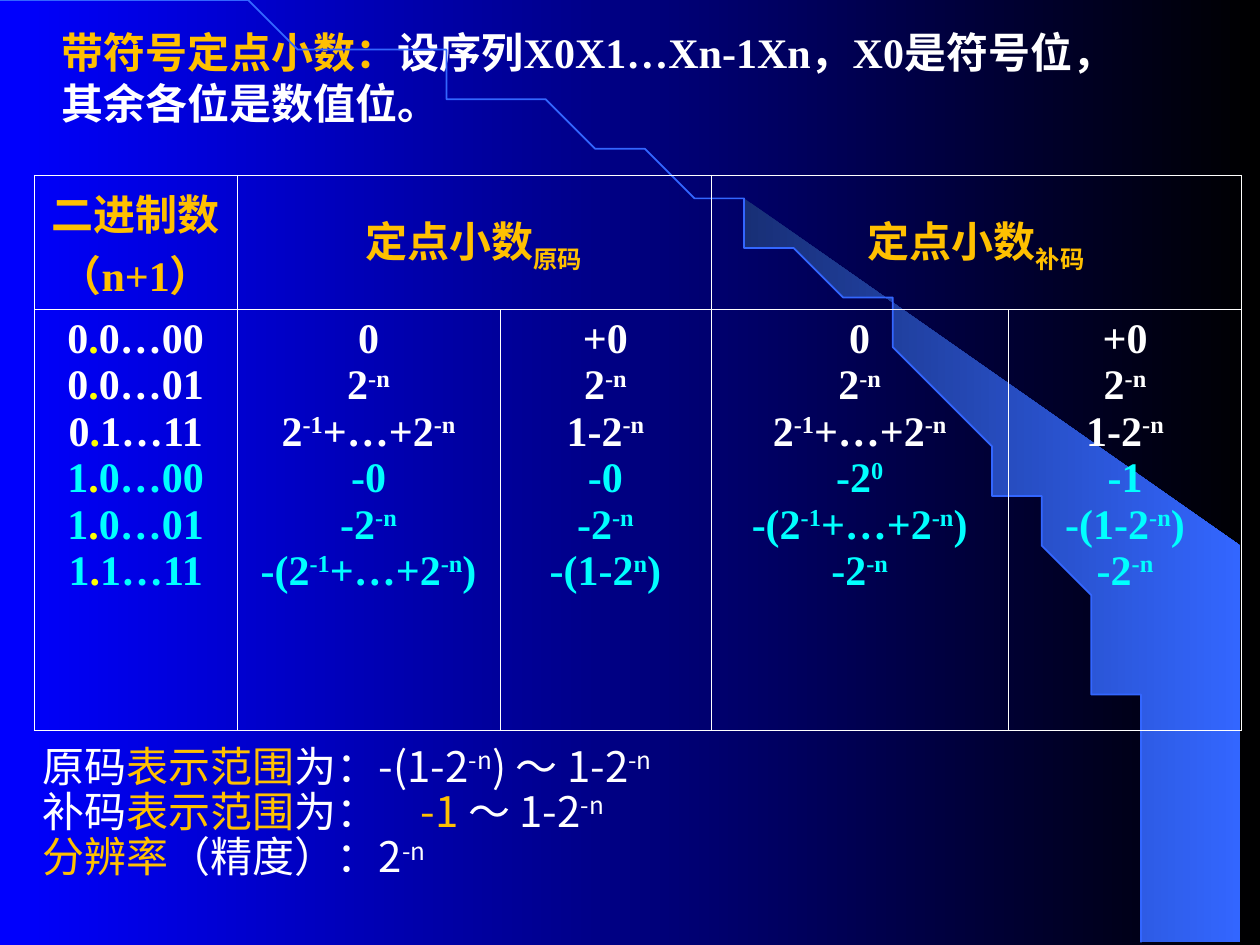
from dataclasses import dataclass

from lxml.etree import SubElement
from pptx import Presentation
from pptx.dml.color import RGBColor as RGB
from pptx.enum.text import MSO_ANCHOR as Anchor, MSO_AUTO_SIZE as AutoSize, PP_ALIGN as Align
from pptx.oxml import parse_xml
from pptx.oxml.ns import nsdecls, qn
from pptx.util import Cm, Pt


@dataclass(frozen=True)
class Theme:
    white: str = "FFFFFF"
    gold: str = "FFC000"
    yellow: str = "FFFF00"
    cyan: str = "00FFFF"
    blue: str = "3366FF"
    navy: str = "182F76"
    backdrop: tuple = ("0000FF", "000000")
    size: int = 24
    latin: str = "Times New Roman"
    cjk: str = "Noto Sans CJK SC"


theme = Theme()
# A part of a text that starts with one of these marks gets the colour or baseline
COLOUR_MARKS = {"*": theme.gold, "@": theme.yellow}
BASELINE_MARKS = {"^": "30000", "_": "-25000"}


def write(paragraph, text, colour=theme.white, font=theme.latin, bold=True,
          align=Align.LEFT, spacing=1.0, tab=None):
    """Fill a paragraph with the parts of text between bars, formatted by their marks."""
    props = paragraph._p.get_or_add_pPr()
    props.set("marL", "0")
    props.set("indent", "0")
    SubElement(props, qn("a:buNone"))
    if tab:
        tabs = SubElement(props, qn("a:tabLst"))
        SubElement(tabs, qn("a:tab"), pos=str(tab), algn="l")
    paragraph.alignment = align
    paragraph.line_spacing = spacing
    paragraph.space_before = Pt(0)
    for part in text.split("|"):
        mark = part[0]
        run = paragraph.add_run()
        run.text = part[1:] if mark in COLOUR_MARKS or mark in BASELINE_MARKS else part
        run.font.size = Pt(theme.size)
        run.font.bold = bold
        run.font.color.rgb = RGB.from_string(COLOUR_MARKS.get(mark, colour))
        run.font.name = font
        run_props = run._r.get_or_add_rPr()
        SubElement(run_props, qn("a:ea"), typeface=theme.cjk)
        if mark in BASELINE_MARKS:
            run_props.set("baseline", BASELINE_MARKS[mark])


def shade(fill, colours):
    """Apply a left-to-right gradient of two colours."""
    fill.gradient()
    fill.gradient_angle = 0
    for stop, colour in zip(fill.gradient_stops, colours):
        stop.color.rgb = RGB.from_string(colour)


deck = Presentation()
deck.slide_width, deck.slide_height = Cm(25.4), Cm(19.05)
slide = deck.slides.add_slide(deck.slide_layouts[1])
shade(slide.background.fill, theme.backdrop)
shapes = slide.shapes

# Arc: a Bezier curve from the top left corner; the wedge follows its last part
CONTROLS = [(0, 0), (12.9, 0), (23.37, 8.51), (23.37, 19.02)]
STEPS, WEDGE_START = 50, 22
curve = []
for step in range(STEPS + 1):
    t = step / STEPS
    weights = ((1 - t) ** 3, 3 * t * (1 - t) ** 2, 3 * t * t * (1 - t), t ** 3)
    curve.append(tuple(sum(w * point[axis] for w, point in zip(weights, CONTROLS))
                       for axis in (0, 1)))
wedge_points = curve[WEDGE_START:] + [(25.37, 19.02), (25.37, 10.74)]
for points, closed in ((wedge_points, True), (curve, False)):
    builder = shapes.build_freeform(*points[0], scale=Cm(1))
    builder.add_line_segments(points[1:], close=closed)
    outline = builder.convert_to_shape()
    outline.shadow.inherit = False
    if closed:
        shade(outline.fill, (theme.navy, theme.blue))
        outline.line.fill.background()
    else:
        outline.fill.background()
        outline.line.color.rgb = RGB.from_string(theme.blue)
        outline.line.width = Pt(1)

# Table of codes
HEADERS = {0: ["二进制数", "（n+1）"], 1: ["定点小数|_原码"], 3: ["定点小数|_补码"]}
CODES = [
    ["0|@.|0…00", "0|@.|0…01", "0|@.|1…11", "1|@.|0…00", "1|@.|0…01", "1|@.|1…11"],
    ["0", "2|^-n", "2|^-1|+…+2|^-n", "-0", "-2|^-n", "-(2|^-1|+…+2|^-n|)"],
    ["+0", "2|^-n", "1-2|^-n", "-0", "-2|^-n", "-(1-2|^n|)"],
    ["0", "2|^-n", "2|^-1|+…+2|^-n", "-2|^0", "-(2|^-1|+…+2|^-n|)", "-2|^-n"],
    ["+0", "2|^-n", "1-2|^-n", "-1", "-(1-2|^-n|)", "-2|^-n"],
]
WIDTHS = [4.09, 5.3, 4.25, 6, 4.7]
HEIGHTS = [2.29, 8.48]
POSITIVE_CODES = 3
codes = shapes.add_table(len(HEIGHTS), len(WIDTHS), Cm(0.69), Cm(3.53),
                         Cm(sum(WIDTHS)), Cm(sum(HEIGHTS))).table
codes.first_row = codes.horz_banding = False
for column, width in zip(codes.columns, WIDTHS):
    column.width = Cm(width)
for row, height in zip(codes.rows, HEIGHTS):
    row.height = Cm(height)
for first in (1, 3):
    codes.cell(0, first).merge(codes.cell(0, first + 1))

for row in range(len(HEIGHTS)):
    for column in range(len(WIDTHS)):
        cell = codes.cell(row, column)
        cell.fill.background()
        for place, side in enumerate("LRTB"):
            cell._tc.get_or_add_tcPr().insert(place, parse_xml(
                f'<a:ln{side} {nsdecls("a")} w="{Pt(0.45)}"><a:solidFill>'
                f'<a:srgbClr val="{theme.white}"/></a:solidFill></a:ln{side}>'))
        cell.vertical_anchor = Anchor.TOP if row else Anchor.MIDDLE
        lines = CODES[column] if row else HEADERS.get(column, [])
        for index, line in enumerate(lines):
            paragraphs = cell.text_frame
            paragraph = paragraphs.add_paragraph() if index else paragraphs.paragraphs[0]
            code_colour = theme.white if index < POSITIVE_CODES else theme.cyan
            write(paragraph, line, colour=code_colour if row else theme.gold, align=Align.CENTER)

# Definition above the table, ranges below it
DEFINITION = ["*带符号定点小数：|设序列X0X1…Xn-1Xn，X0是符号位，其余各位是数值位。"]
RANGES = [
    "原码|*表示范围|为：-(1-2|^-n|) ～ 1-2|^-n",
    "补码|*表示范围|为：\t|*-1 |～ 1-2|^-n",
    "*分辨率|（精度）：2|^-n",
]
definition, ranges = shapes.title, slide.placeholders[1]
for holder, box, lines, style in (
    (definition, (0.99, 0.41, 22, 2.29), DEFINITION, {}),
    (ranges, (0.61, 14.91, 24.61, 3), RANGES,
     {"font": theme.cjk, "bold": False, "spacing": 0.9, "tab": Cm(7.9)}),
):
    holder.left, holder.top, holder.width, holder.height = map(Cm, box)
    frame = holder.text_frame
    frame.word_wrap = True
    frame.auto_size = AutoSize.NONE
    frame.vertical_anchor = Anchor.TOP
    for index, line in enumerate(lines):
        write(frame.add_paragraph() if index else frame.paragraphs[0], line, **style)

deck.save("out.pptx")
